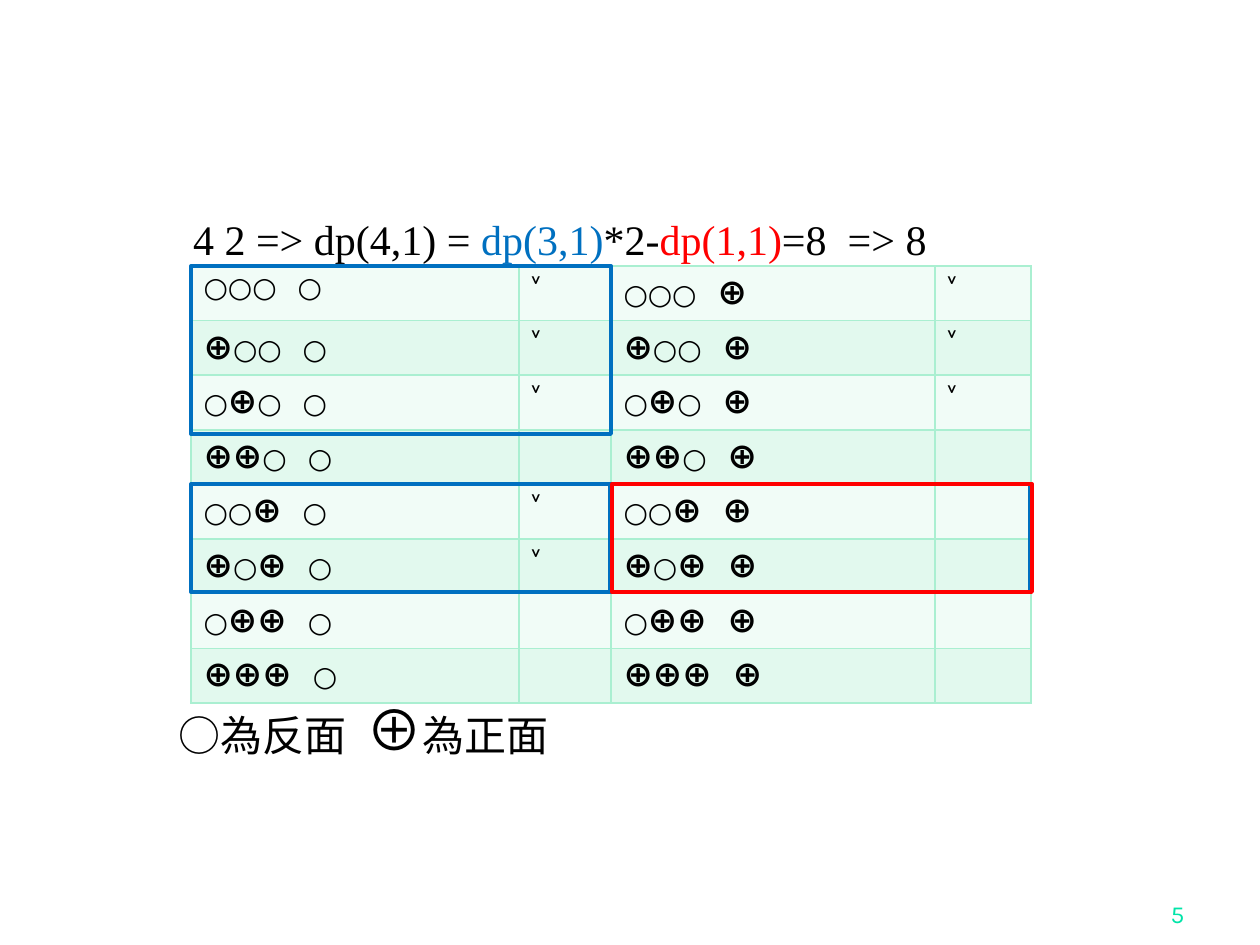
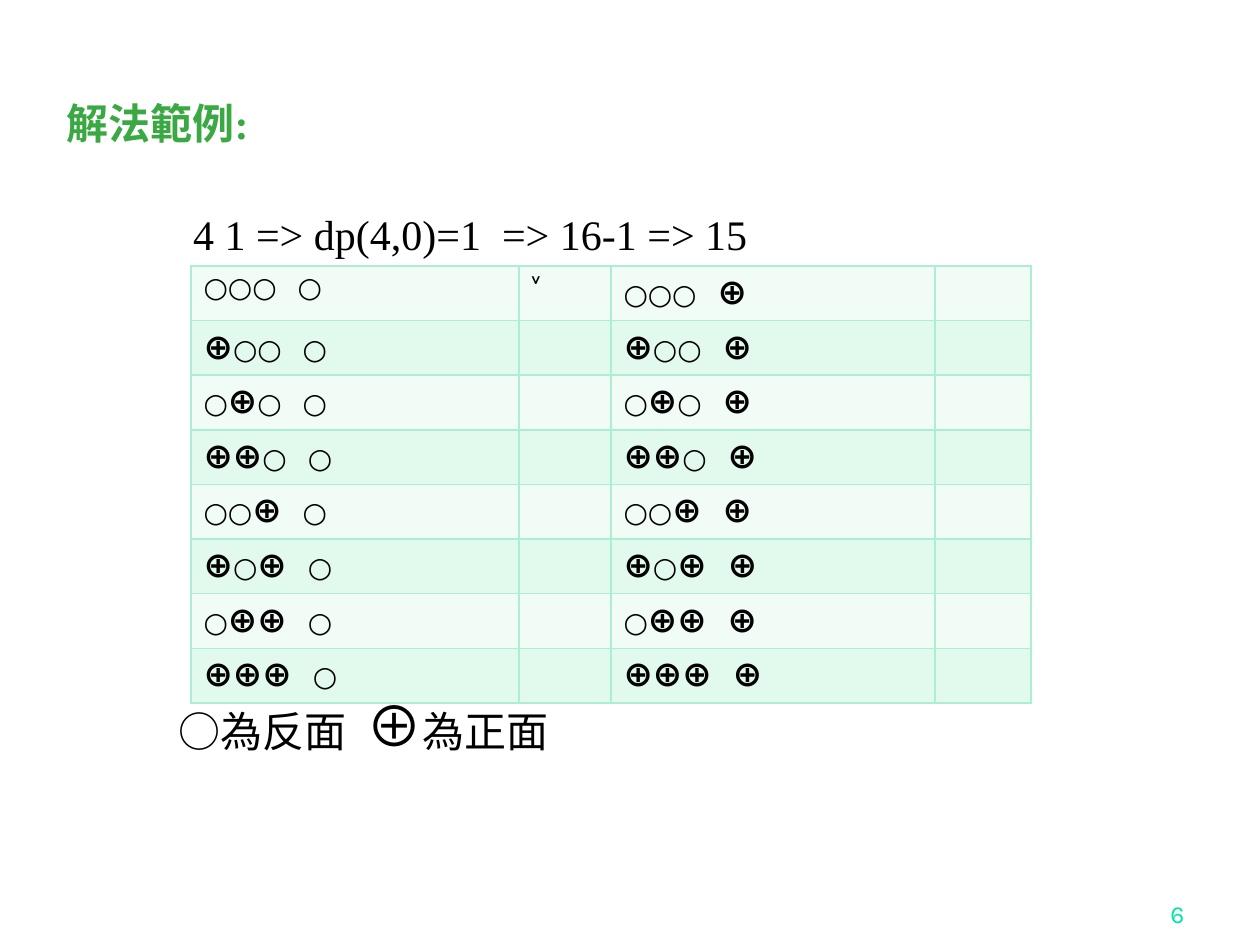
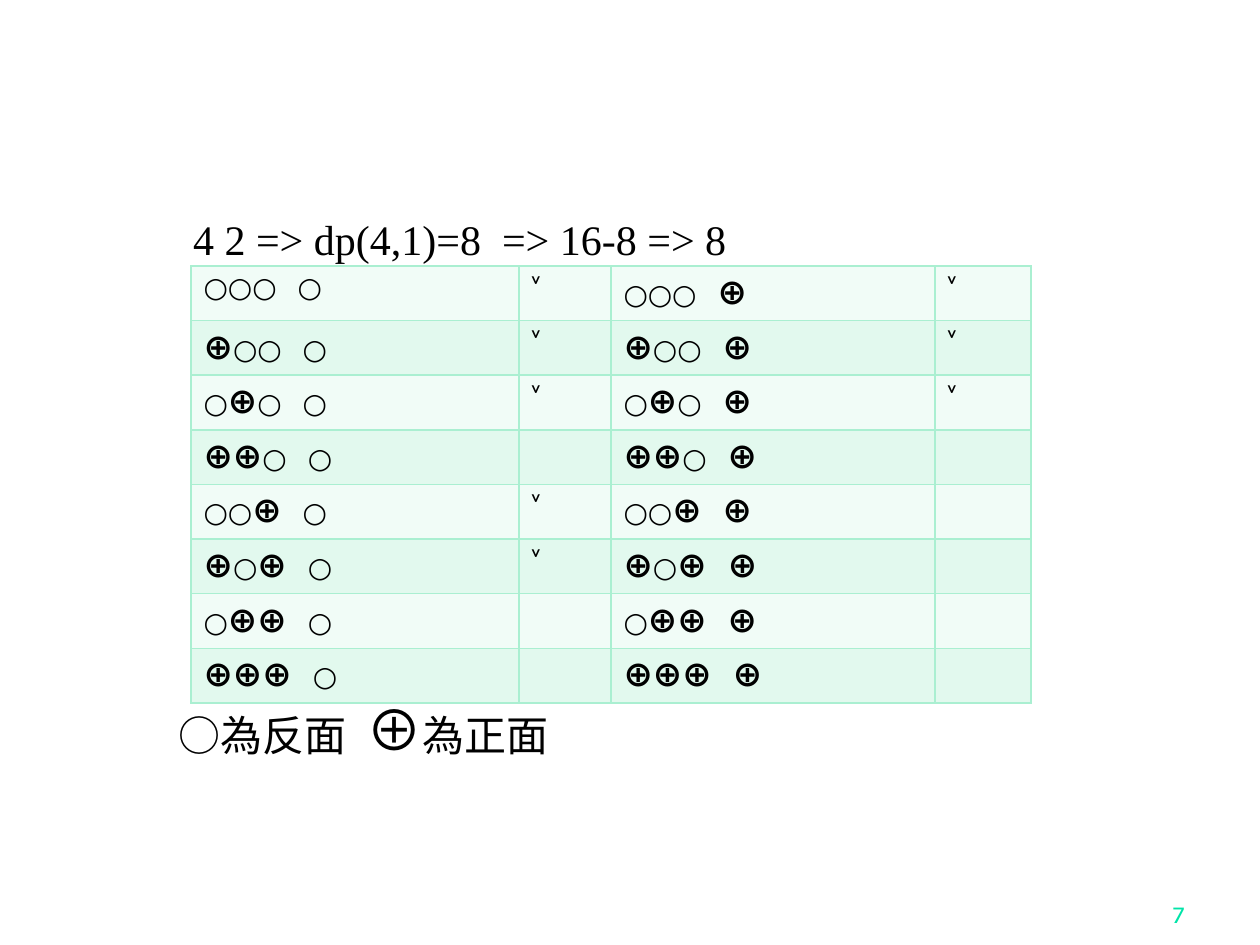
from itertools import groupby

from lxml import etree
from pptx import Presentation
from pptx.dml.color import RGBColor
from pptx.enum.shapes import MSO_SHAPE
from pptx.enum.text import MSO_ANCHOR, MSO_AUTO_SIZE, PP_ALIGN
from pptx.oxml.ns import qn
from pptx.util import Emu, Pt

TOP, BOTTOM = MSO_ANCHOR.TOP, MSO_ANCHOR.BOTTOM
LEFT, RIGHT = PP_ALIGN.LEFT, PP_ALIGN.RIGHT
RECTANGLE = MSO_SHAPE.RECTANGLE
TITLE_ONLY, BLANK = 5, 6

PX_PER_INCH = 126
COLORS = {
    "black": "000000",
    "blue": "0070C0",
    "red": "FF0000",
    "title": "3BA943",
    "number": "00E4A8",
    "border": "AAEFD1",
    "odd row": "F1FCF7",
    "even row": "E2F9EE",
}
SERIF, SANS = "Times New Roman", "Karla"

TAILS, HEADS, TICK = "○", "⊕", "˅"
COIN_SIZES = {TAILS: 16, HEADS: 20}
WIDE = {"spacing": 6}
COIN_GAP = {"size": 16, "spacing": 8}

LEGEND = [
    ("○為反面", {}),
    (" ", WIDE),
    ("⊕", {"size": 32}),
    ("為正面", {}),
]

# Ticked rows are listed for the left and the right half of the table
SLIDES = [
    {
        "number": 5,
        "formula": [
            ("4 2 => dp(4,1) = ", {}),
            ("dp(3,1)", {"color": "blue"}),
            ("*2-", {}),
            ("dp(1,1)", {"color": "red"}),
            ("=8", {}),
            (" ", WIDE),
            ("=> 8", {}),
        ],
        "ticked": [{0, 1, 2, 4, 5}, {0, 1, 2}],
        "frames": [
            (191, 266, 168, "blue"),
            (191, 484, 108, "blue"),
            (610, 484, 108, "blue"),
            (612, 484, 108, "red"),
        ],
    },
    {
        "number": 6,
        "title": "解法範例:",
        "formula": [("4 1 => dp(4,0)=1", {}), (" ", WIDE), ("=> 16-1 => 15", {})],
        "ticked": [{0}, set()],
        "text_shift": -5,
    },
    {
        "number": 7,
        "formula": [("4 2 => dp(4,1)=8", {}), (" ", WIDE), ("=> 16-8 => 8", {})],
        "ticked": [{0, 1, 2, 4, 5}, {0, 1, 2}],
    },
]

TITLE_BOX = (54, 97, 1113, 80)
FORMULA_BOX = (193, 214, 900, 50)
LEGEND_BOX = (179, 696, 600, 70)
NUMBER_BOX = (935, 872, 262, 63)
TABLE_LEFT, TABLE_TOP, TABLE_HEIGHT = 191, 266, 437
COLUMN_WIDTHS = (328, 92, 324, 96)
ROWS = 8
FRAME_WIDTH = 420


def px(length):
    return Emu(length * 914400 // PX_PER_INCH)


def rgb(name):
    return RGBColor.from_string(COLORS[name])


def add_runs(paragraph, runs, **base):
    """Write (text, format) runs; each format overrides the base values."""
    for text, changes in runs:
        style = {"color": "black", **base, **changes}
        run = paragraph.add_run()
        run.text = text
        run.font.color.rgb = rgb(style.pop("color"))
        if "spacing" in style:
            run.font._element.set("spc", str(style.pop("spacing") * 100))
        style["size"] = Pt(style["size"])
        for name, value in style.items():
            setattr(run.font, name, value)


def set_frame(shape, **values):
    frame = shape.text_frame
    for name, value in {"auto_size": MSO_AUTO_SIZE.NONE, "word_wrap": True, **values}.items():
        setattr(frame, name, value)
    return frame.paragraphs[0]


def add_text(slide, box, runs, font, size=24):
    shape = slide.shapes.add_textbox(*map(px, box))
    margins = dict.fromkeys(("margin_left", "margin_top", "margin_right", "margin_bottom"), 0)
    add_runs(set_frame(shape, **margins), runs, name=font, size=size)


def add_title(slide, text):
    title = slide.shapes.title
    title.left, title.top, title.width, title.height = map(px, TITLE_BOX)
    paragraph = set_frame(title, vertical_anchor=TOP)
    paragraph.alignment, paragraph.line_spacing = LEFT, 0.9
    add_runs(paragraph, [(text, {})], name=SERIF, size=24, color="title", bold=True)


def add_number(slide, number):
    shape = slide.shapes.add_textbox(*map(px, NUMBER_BOX))
    paragraph = set_frame(shape, vertical_anchor=BOTTOM)
    paragraph.alignment = RIGHT
    add_runs(paragraph, [(str(number), {})], name=SANS, size=14, color="number")


def coin_runs(row, last_coin):
    """The first three coins count in binary, lowest digit first."""
    coins = "".join(HEADS if row >> digit & 1 else TAILS for digit in range(3))
    runs = [("".join(group), {"size": COIN_SIZES[coin]}) for coin, group in groupby(coins)]
    return runs + [(" ", COIN_GAP), (last_coin, {"size": COIN_SIZES[last_coin]})]


def style_cell(cell, fill):
    properties = cell._tc.get_or_add_tcPr()
    for side in ("lnL", "lnR", "lnT", "lnB"):
        line = etree.SubElement(properties, qn(f"a:{side}"), w=str(Pt(1)))
        solid = etree.SubElement(line, qn("a:solidFill"))
        etree.SubElement(solid, qn("a:srgbClr"), val=COLORS["border"])
    cell.fill.solid()
    cell.fill.fore_color.rgb = rgb(fill)


def add_coin_table(slide, ticked):
    box = (TABLE_LEFT, TABLE_TOP, sum(COLUMN_WIDTHS), TABLE_HEIGHT)
    table = slide.shapes.add_table(ROWS, len(COLUMN_WIDTHS), *map(px, box)).table
    table.first_row = table.horz_banding = False
    for column, width in zip(table.columns, COLUMN_WIDTHS):
        column.width = px(width)
    for row in range(ROWS):
        for half, last_coin in enumerate((TAILS, HEADS)):
            coins, tick = (table.cell(row, half * 2 + part) for part in range(2))
            for cell in (coins, tick):
                style_cell(cell, "even row" if row % 2 else "odd row")
            add_runs(coins.text_frame.paragraphs[0], coin_runs(row, last_coin),
                     name=SANS, bold=True)
            if row in ticked[half]:
                add_runs(tick.text_frame.paragraphs[0], [(TICK, {})],
                         name=SANS, bold=True, size=18)


def add_frame(slide, left, top, height, color):
    shape = slide.shapes.add_shape(RECTANGLE, *map(px, (left, top, FRAME_WIDTH, height)))
    shape.shadow.inherit = False
    shape.fill.background()
    shape.line.color.rgb = rgb(color)
    shape.line.width = Pt(2.25)


def add_slide(presentation, content):
    layout = TITLE_ONLY if "title" in content else BLANK
    slide = presentation.slides.add_slide(presentation.slide_layouts[layout])
    if "title" in content:
        add_title(slide, content["title"])
    shift = content.get("text_shift", 0)
    for box, runs, font in ((FORMULA_BOX, content["formula"], SERIF), (LEGEND_BOX, LEGEND, SANS)):
        left, top, width, height = box
        add_text(slide, (left, top + shift, width, height), runs, font)
    add_number(slide, content["number"])
    add_coin_table(slide, content["ticked"])
    for frame in content.get("frames", []):
        add_frame(slide, *frame)


def main():
    presentation = Presentation()
    presentation.slide_width, presentation.slide_height = px(1260), px(945)
    for content in SLIDES:
        add_slide(presentation, content)
    presentation.save("out.pptx")


if __name__ == "__main__":
    main()
